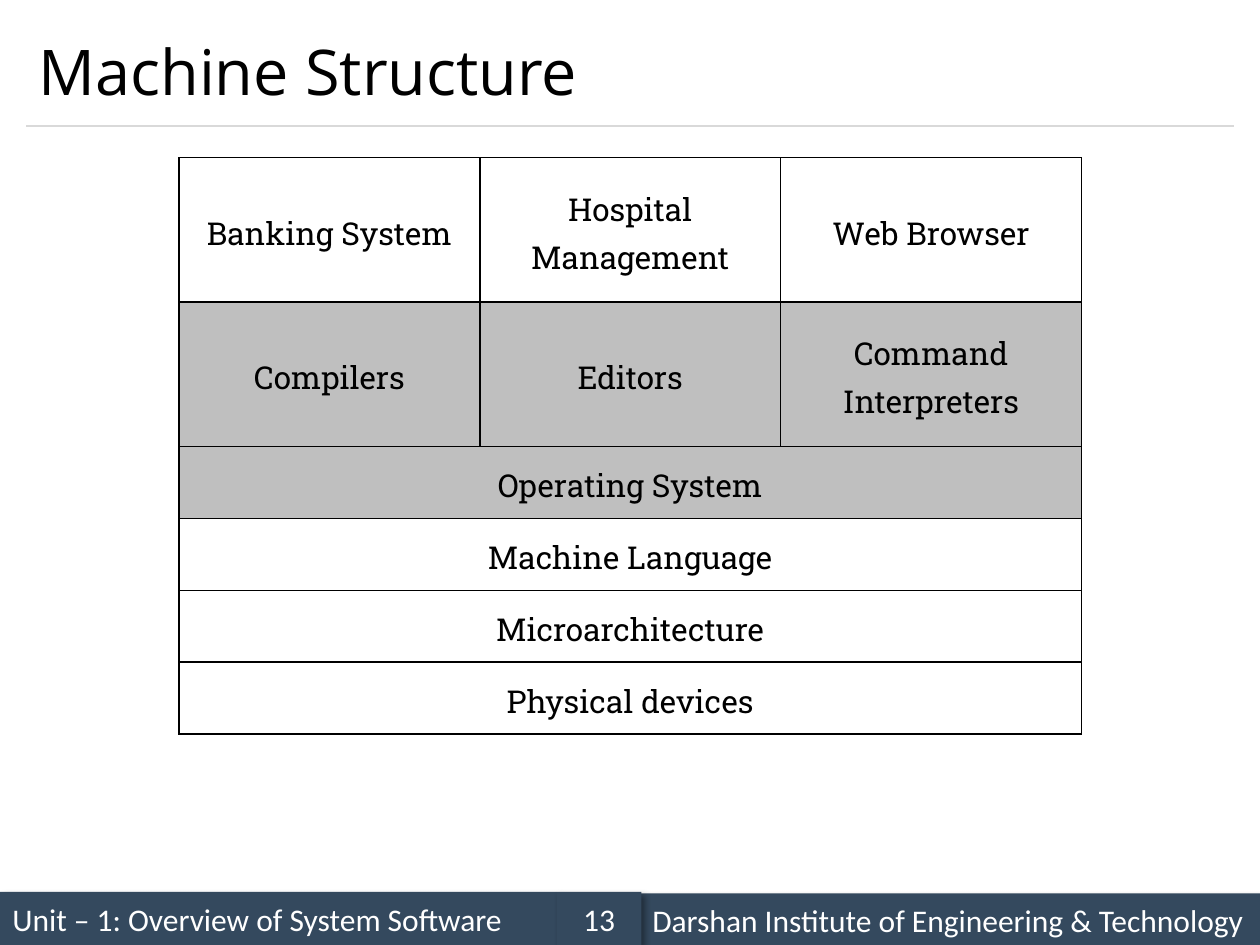
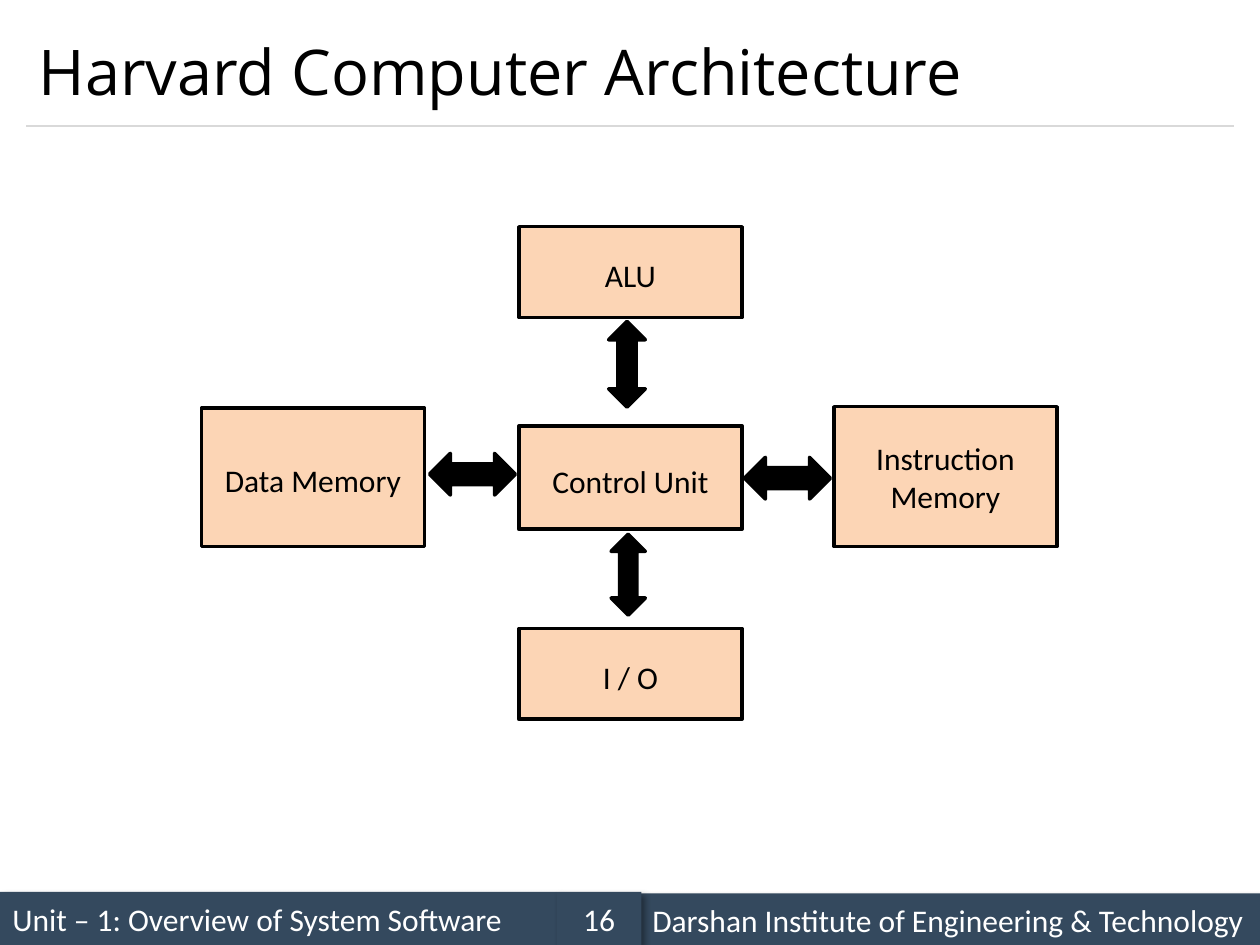
from dataclasses import dataclass

from lxml.etree import SubElement
from pptx import Presentation
from pptx.dml.color import RGBColor
from pptx.enum.shapes import MSO_CONNECTOR, MSO_SHAPE
from pptx.enum.text import MSO_ANCHOR, PP_ALIGN
from pptx.oxml import parse_xml
from pptx.oxml.ns import nsdecls, qn
from pptx.util import Cm, Pt

BLACK = "000000"
WHITE = "FFFFFF"
NAVY = "34495E"
RULE_GRAY = "D9D9D9"
SYSTEM_GRAY = "BFBFBF"
PEACH = "FCD5B5"

TITLE_FONT = "Open Sans"
BODY_FONT = "Calibri"
TABLE_FONT = "Roboto Slab"

SIDE_MARGIN = 0.53
CONTENT_WIDTH = 24.34
RULE_TOP = 2.54
UNIT_WIDTH = 4.5
CENTRE_LEFT = 10.46


@dataclass(frozen=True)
class Area:
    left: float
    top: float
    width: float
    height: float

    def lengths(self) -> tuple:
        return Cm(self.left), Cm(self.top), Cm(self.width), Cm(self.height)


@dataclass(frozen=True)
class FooterBand:
    text: str
    area: Area
    alignment: PP_ALIGN = PP_ALIGN.LEFT


@dataclass(frozen=True)
class Unit:
    label: str
    left: float
    top: float
    height: float
    line_spacing: float = 1.15


@dataclass(frozen=True)
class BusArrow:
    kind: MSO_SHAPE
    area: Area


@dataclass(frozen=True)
class Layer:
    labels: tuple
    height: float
    fill: str = ""


LAYERS = [
    Layer(("Banking System", "Hospital Management", "Web Browser"), 2.91),
    Layer(("Compilers", "Editors", "Command Interpreters"), 2.91, SYSTEM_GRAY),
    Layer(("Operating System",), 1.45, SYSTEM_GRAY),
    Layer(("Machine Language",), 1.45),
    Layer(("Microarchitecture",), 1.45),
    Layer(("Physical devices",), 1.45),
]

UNITS = [
    Unit("ALU", CENTRE_LEFT, 4.57, 1.83),
    Unit("Control Unit", CENTRE_LEFT, 8.59, 2.08),
    Unit("I / O", CENTRE_LEFT, 12.67, 1.83),
    Unit("Data Memory", 4.06, 8.23, 2.79),
    Unit("Instruction Memory", 16.81, 8.2, 2.82, 1),
]

BUS_ARROWS = [
    BusArrow(MSO_SHAPE.LEFT_RIGHT_ARROW, Area(15.01, 9.22, 1.73, 0.84)),
    BusArrow(MSO_SHAPE.LEFT_RIGHT_ARROW, Area(8.66, 9.14, 1.73, 0.84)),
    BusArrow(MSO_SHAPE.UP_DOWN_ARROW, Area(12.27, 6.48, 0.74, 1.73)),
    BusArrow(MSO_SHAPE.UP_DOWN_ARROW, Area(12.32, 10.77, 0.69, 1.63)),
]


def color(value: str) -> RGBColor:
    return RGBColor.from_string(value)


def write(text_frame, text: str, font: str, size: float, text_color: str,
          alignment=PP_ALIGN.LEFT, line_spacing: float = 1):
    text_frame.word_wrap = True
    text_frame.vertical_anchor = MSO_ANCHOR.MIDDLE
    paragraph = text_frame.paragraphs[0]
    paragraph.text = text
    paragraph.alignment = alignment
    paragraph.line_spacing = line_spacing
    paragraph.font.name = font
    paragraph.font.size = Pt(size)
    paragraph.font.color.rgb = color(text_color)


def add_filled_shape(shapes, kind: MSO_SHAPE, area: Area, fill: str, line: str = ""):
    shape = shapes.add_shape(kind, *area.lengths())
    shape.shadow.inherit = False
    shape.fill.solid()
    shape.fill.fore_color.rgb = color(fill)
    if line:
        shape.line.color.rgb = color(line)
        shape.line.width = Pt(2)
    else:
        shape.line.fill.background()
    return shape


def add_footer_band(slide, band: FooterBand):
    shape = add_filled_shape(slide.shapes, MSO_SHAPE.RECTANGLE, band.area, NAVY)
    effects = shape._element.spPr.find(qn("a:effectLst"))
    effects.append(parse_xml(
        f'<a:outerShdw {nsdecls("a")} blurRad="{Pt(4)}" dist="{Pt(3)}" dir="2700000" '
        f'algn="tl" rotWithShape="0"><a:srgbClr val="{BLACK}">'
        '<a:alpha val="40000"/></a:srgbClr></a:outerShdw>'
    ))
    write(shape.text_frame, band.text, BODY_FONT, 18, WHITE, band.alignment)


def add_title_rule(slide):
    rule = slide.shapes.add_connector(
        MSO_CONNECTOR.STRAIGHT, Cm(SIDE_MARGIN), Cm(RULE_TOP),
        Cm(SIDE_MARGIN + CONTENT_WIDTH), Cm(RULE_TOP))
    rule.line.color.rgb = color(RULE_GRAY)
    rule.line.width = Pt(0.75)
    SubElement(rule._element.spPr, qn("a:effectLst"))


def add_base_slide(presentation, title: str, number: int):
    slide = presentation.slides.add_slide(presentation.slide_layouts[6])
    slide.background.fill.solid()
    slide.background.fill.fore_color.rgb = color(WHITE)
    add_title_rule(slide)
    footer = [
        FooterBand("Unit – 1: Overview of System Software", Area(0, 17.98, 11.23, 1.07)),
        FooterBand("Darshan Institute of Engineering & Technology",
                   Area(12.9, 18.01, 12.5, 1.07)),
        FooterBand(str(number), Area(11.23, 17.98, 1.7, 1.07), PP_ALIGN.CENTER),
    ]
    for band in footer:
        add_footer_band(slide, band)
    title_area = Area(SIDE_MARGIN, 0.3, CONTENT_WIDTH, RULE_TOP - 0.3)
    title_box = slide.shapes.add_textbox(*title_area.lengths())
    write(title_box.text_frame, title, TITLE_FONT, 36, BLACK)
    return slide


def style_cell(cell, fill: str):
    properties = cell._tc.get_or_add_tcPr()
    for side in ("lnL", "lnR", "lnT", "lnB"):
        border = SubElement(properties, qn(f"a:{side}"), w=str(Pt(1)))
        solid = SubElement(border, qn("a:solidFill"))
        SubElement(solid, qn("a:srgbClr"), val=BLACK)
    if fill:
        cell.fill.solid()
        cell.fill.fore_color.rgb = color(fill)
    else:
        cell.fill.background()
    cell.margin_left = cell.margin_right = Cm(0.2)
    cell.margin_top = cell.margin_bottom = 0
    cell.vertical_anchor = MSO_ANCHOR.MIDDLE


def add_layer_table(slide):
    column_count = max(len(layer.labels) for layer in LAYERS)
    area = Area(3.61, 3.18, 18.19, sum(layer.height for layer in LAYERS))
    table = slide.shapes.add_table(len(LAYERS), column_count, *area.lengths()).table
    table.first_row = False
    table.horz_banding = False
    for row_index, layer in enumerate(LAYERS):
        table.rows[row_index].height = Cm(layer.height)
        for column_index in range(column_count):
            style_cell(table.cell(row_index, column_index), layer.fill)
        if len(layer.labels) == 1:
            table.cell(row_index, 0).merge(table.cell(row_index, column_count - 1))
        for column_index, label in enumerate(layer.labels):
            cell = table.cell(row_index, column_index)
            write(cell.text_frame, label, TABLE_FONT, 18, BLACK, PP_ALIGN.CENTER, 1.15)
            cell.vertical_anchor = MSO_ANCHOR.MIDDLE


def add_unit(shapes, unit: Unit):
    area = Area(unit.left, unit.top, UNIT_WIDTH, unit.height)
    shape = add_filled_shape(shapes, MSO_SHAPE.RECTANGLE, area, PEACH, BLACK)
    text_frame = shape.text_frame
    text_frame.margin_left = text_frame.margin_right = Cm(0.2)
    text_frame.margin_top = text_frame.margin_bottom = Cm(0.1)
    write(text_frame, unit.label, BODY_FONT, 18, BLACK, PP_ALIGN.CENTER, unit.line_spacing)


def add_harvard_diagram(slide):
    diagram = slide.shapes.add_group_shape()
    for unit in UNITS:
        add_unit(diagram.shapes, unit)
    for arrow in BUS_ARROWS:
        add_filled_shape(diagram.shapes, arrow.kind, arrow.area, BLACK, BLACK)


def main():
    presentation = Presentation()
    presentation.slide_width = Cm(25.4)
    presentation.slide_height = Cm(19.05)
    add_layer_table(add_base_slide(presentation, "Machine Structure", 13))
    add_harvard_diagram(add_base_slide(presentation, "Harvard Computer Architecture", 16))
    presentation.save("out.pptx")


if __name__ == "__main__":
    main()
